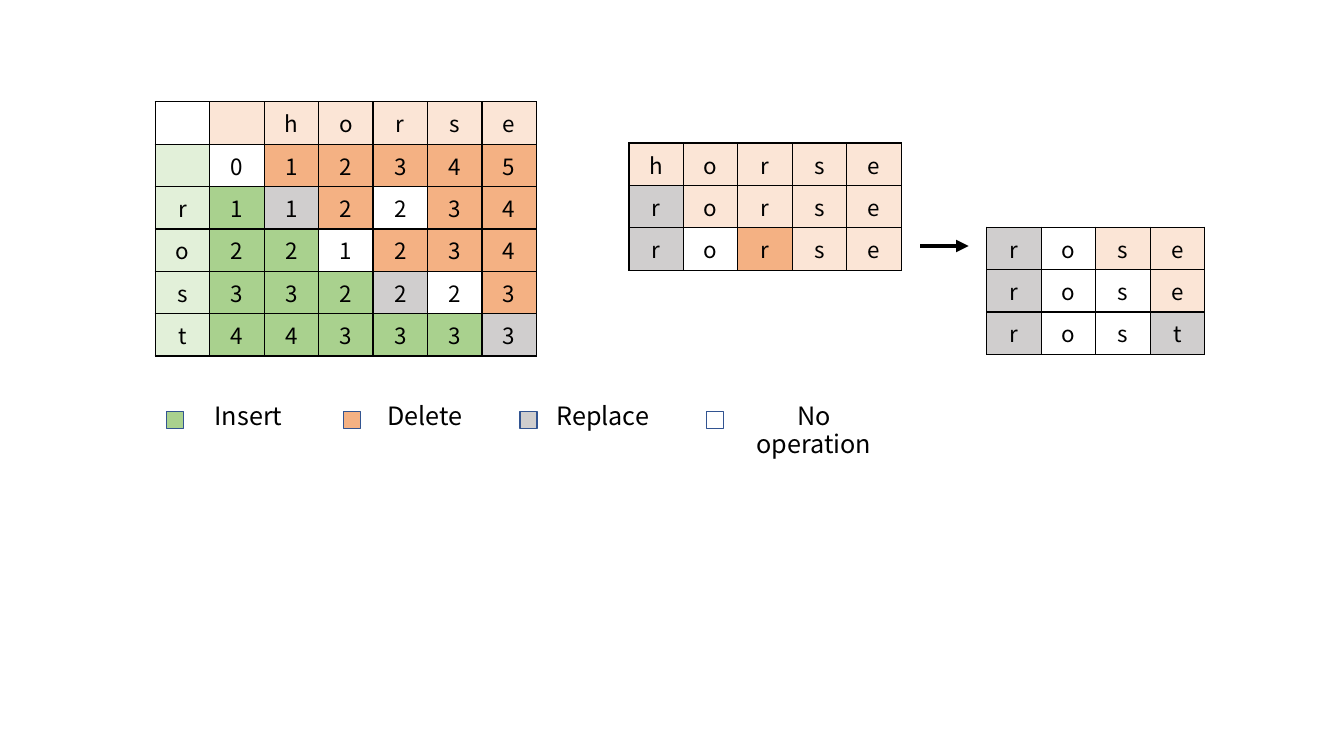
from dataclasses import dataclass

from lxml import etree
from pptx import Presentation
from pptx.dml.color import RGBColor
from pptx.enum.shapes import MSO_CONNECTOR, MSO_SHAPE
from pptx.enum.text import MSO_ANCHOR, MSO_AUTO_SIZE, PP_ALIGN
from pptx.oxml.ns import qn
from pptx.util import Pt

BLANK_LAYOUT = 6
CENTER = PP_ALIGN.CENTER
MIDDLE = MSO_ANCHOR.MIDDLE
GROW = MSO_AUTO_SIZE.SHAPE_TO_FIT_TEXT
RECTANGLE = MSO_SHAPE.RECTANGLE
STRAIGHT = MSO_CONNECTOR.STRAIGHT


@dataclass(frozen=True)
class Theme:
    """Colours, font and type sizes of the slide."""
    font: str = "Noto Sans CJK SC"
    cell_size: float = 16
    legend_size: float = 18
    legend_spacing: float = 0.9
    ink: str = "000000"
    marker_line: str = "325491"
    insert: str = "A9D18E"
    delete: str = "F4B183"
    replace: str = "D0CECE"
    keep: str = "FFFFFF"
    source_word: str = "FBE5D6"
    target_word: str = "E2F0D9"


THEME = Theme()
COLUMN_WIDTH, ROW_HEIGHT = 38.9, 29.2
MARKER_TOP, MARKER_SIZE = 293.8, 12.2
LABEL_TOP, LABEL_HEIGHT = 285.1, 28.8

# I insert, D delete, R replace, K keep, S source word, T target word
FILLS = {
    "I": THEME.insert, "D": THEME.delete, "R": THEME.replace,
    "K": THEME.keep, "S": THEME.source_word, "T": THEME.target_word,
}

# Each grid: left, top, rows of (letters, fill codes); a space is an empty cell
DISTANCE_GRID = (110.9, 72.7, [
    ("  horse", "KSSSSSS"),
    (" 012345", "TKDDDDD"),
    ("r112234", "TIRDKDD"),
    ("o221234", "TIIKDDD"),
    ("s332223", "TIIIRKD"),
    ("t443333", "TIIIIIR"),
])
FIRST_STEPS = (449.3, 102.2, [
    ("horse", "SSSSS"),
    ("rorse", "RSSSS"),
    ("rorse", "RKDSS"),
])
LAST_STEPS = (704.9, 162.3, [
    ("rose", "RKSS"),
    ("rose", "RKKS"),
    ("rost", "RKKR"),
])

# Marker left, fill code, label, label left, label width
LEGEND = [
    (118.8, "I", "Insert", 141.1, 72.7),
    (245.5, "D", "Delete", 267.1, 72.7),
    (371.5, "R", "Replace", 387.4, 86.4),
    (504.7, "K", "No operation", 519.8, 123.1),
]


def color(code):
    """Turn a hex code into a colour."""
    return RGBColor.from_string(code)


def write(frame, text, size):
    """Write one centred run into a text frame and return its paragraph."""
    para = frame.paragraphs[0]
    para.alignment = CENTER
    span = para.add_run()
    span.text = text
    span.font.name = THEME.font
    span.font.size = Pt(size)
    span.font.color.rgb = color(THEME.ink)
    return para


def border_cell(cell):
    """Draw a thin line on all four sides of a cell."""
    properties = cell._tc.get_or_add_tcPr()
    for index, side in enumerate(("a:lnL", "a:lnR", "a:lnT", "a:lnB")):
        line = etree.Element(qn(side), w=str(Pt(1)))
        fill = etree.SubElement(line, qn("a:solidFill"))
        etree.SubElement(fill, qn("a:srgbClr"), val=THEME.ink)
        properties.insert(index, line)


def add_letter_grid(page, left, top, rows):
    """Add a table with one letter or digit per coloured cell."""
    row_count, column_count = len(rows), len(rows[0][0])
    table = page.shapes.add_table(
        row_count, column_count, Pt(left), Pt(top),
        Pt(COLUMN_WIDTH * column_count), Pt(ROW_HEIGHT * row_count)).table
    for column in table.columns:
        column.width = Pt(COLUMN_WIDTH)
    for row_index, (letters, codes) in enumerate(rows):
        table.rows[row_index].height = Pt(ROW_HEIGHT)
        for column_index, (letter, code) in enumerate(zip(letters, codes)):
            cell = table.cell(row_index, column_index)
            cell.vertical_anchor = MIDDLE
            cell.fill.solid()
            cell.fill.fore_color.rgb = color(FILLS[code])
            border_cell(cell)
            if letter != " ":
                write(cell.text_frame, letter, THEME.cell_size)


def add_arrow(page, start, end, y):
    """Add a horizontal arrow pointing right."""
    arrow = page.shapes.add_connector(
        STRAIGHT, Pt(start), Pt(y), Pt(end), Pt(y))
    arrow.line.color.rgb = color(THEME.ink)
    arrow.line.width = Pt(3)
    etree.SubElement(arrow.line._get_or_add_ln(), qn("a:tailEnd"),
                     type="triangle")
    etree.SubElement(arrow._element.spPr, qn("a:effectLst"))


def add_legend_entry(page, marker_left, code, label, label_left, label_width):
    """Add a coloured marker with its label."""
    marker = page.shapes.add_shape(
        RECTANGLE, Pt(marker_left), Pt(MARKER_TOP),
        Pt(MARKER_SIZE), Pt(MARKER_SIZE))
    marker.shadow.inherit = False
    marker.fill.solid()
    marker.fill.fore_color.rgb = color(FILLS[code])
    marker.line.color.rgb = color(THEME.marker_line)
    marker.line.width = Pt(1)

    box = page.shapes.add_textbox(
        Pt(label_left), Pt(LABEL_TOP), Pt(label_width), Pt(LABEL_HEIGHT))
    box.text_frame.word_wrap = True
    box.text_frame.auto_size = GROW
    para = write(box.text_frame, label, THEME.legend_size)
    para.line_spacing = THEME.legend_spacing


def main():
    """Build the edit distance slide."""
    deck = Presentation()
    deck.slide_width, deck.slide_height = Pt(960), Pt(540)
    page = deck.slides.add_slide(deck.slide_layouts[BLANK_LAYOUT])
    for grid in (DISTANCE_GRID, FIRST_STEPS, LAST_STEPS):
        add_letter_grid(page, *grid)
    add_arrow(page, 657.4, 691.9, 175.7)
    for entry in LEGEND:
        add_legend_entry(page, *entry)
    deck.save("out.pptx")


main()
